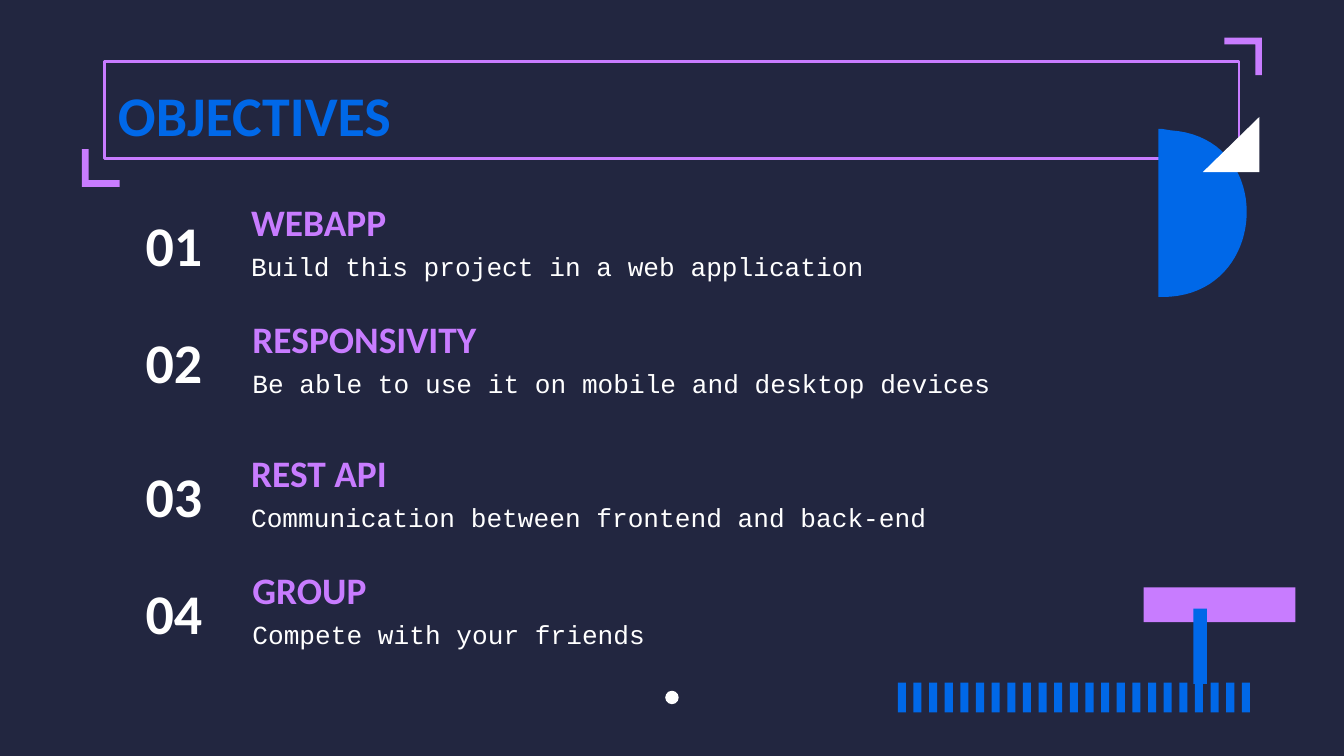
from dataclasses import dataclass

from pptx import Presentation
from pptx.dml.color import RGBColor
from pptx.enum.shapes import MSO_SHAPE
from pptx.enum.text import MSO_ANCHOR, PP_ALIGN
from pptx.util import Inches, Pt


@dataclass(frozen=True)
class Theme:
    background: RGBColor = RGBColor(0x22, 0x26, 0x40)
    blue: RGBColor = RGBColor(0x00, 0x68, 0xE8)
    purple: RGBColor = RGBColor(0xC8, 0x7C, 0xFF)
    white: RGBColor = RGBColor(0xFF, 0xFF, 0xFF)
    heading_font: str = "Calibri"
    body_font: str = "Courier New"
    title_size: int = 30
    heading_size: int = 20
    body_size: int = 14


THEME = Theme()

OBJECTIVES = [
    (1.77, 1.38, "WEBAPP", "Build this project in a web application"),
    (1.78, 2.25, "RESPONSIVITY", "Be able to use it on mobile and desktop devices"),
    (1.77, 3.25, "REST API", "Communication between frontend and back-end"),
    (1.78, 4.12, "GROUP", "Compete with your friends"),
]


def paint(shape, color):
    shape.fill.solid()
    shape.fill.fore_color.rgb = color
    shape.line.fill.background()
    shape.shadow.inherit = False


def add_block(slide, kind, left, top, width, height, color):
    shape = slide.shapes.add_shape(
        kind, Inches(left), Inches(top), Inches(width), Inches(height)
    )
    paint(shape, color)
    return shape


def add_outline(slide, contours, color):
    contours = [[(Inches(x), Inches(y)) for x, y in points] for points in contours]
    builder = slide.shapes.build_freeform(*contours[0][0])
    for index, points in enumerate(contours):
        if index:
            builder.move_to(*points[0])
        builder.add_line_segments(points[1:], close=True)
    paint(builder.convert_to_shape(), color)


def add_label(slide, text, left, top, width, height, size, color,
              font=THEME.heading_font, bold=True,
              anchor=MSO_ANCHOR.TOP, align=PP_ALIGN.LEFT):
    box = slide.shapes.add_textbox(
        Inches(left), Inches(top), Inches(width), Inches(height)
    )
    frame = box.text_frame
    frame.word_wrap = True
    frame.vertical_anchor = anchor
    frame.margin_left = frame.margin_right = Inches(0.1)
    frame.margin_top = frame.margin_bottom = Inches(0.1)
    frame.text = text
    paragraph = frame.paragraphs[0]
    paragraph.alignment = align
    run_font = paragraph.runs[0].font
    run_font.name = font
    run_font.size = Pt(size)
    run_font.bold = bold
    run_font.color.rgb = color


def add_stripes(slide, left, top, width, height, pitch, count):
    stripes = []
    for index in range(count):
        x = left + index * pitch
        stripes.append([(x, top), (x, top + height),
                        (x + width, top + height), (x + width, top)])
    add_outline(slide, stripes, THEME.blue)


def add_bracket(slide, corner_x, corner_y, direction):
    arm, thickness = 0.28 * direction, 0.05 * direction
    add_outline(slide, [[
        (corner_x, corner_y - arm),
        (corner_x, corner_y),
        (corner_x + arm, corner_y),
        (corner_x + arm, corner_y - thickness),
        (corner_x + thickness, corner_y - thickness),
        (corner_x + thickness, corner_y - arm),
    ]], THEME.purple)


def curve_points(start, control_one, control_two, end, steps=40):
    points = []
    for step in range(steps + 1):
        t = step / steps
        weights = ((1 - t) ** 3, 3 * t * (1 - t) ** 2, 3 * t ** 2 * (1 - t), t ** 3)
        corners = (start, control_one, control_two, end)
        points.append(tuple(
            sum(weight * corner[axis] for weight, corner in zip(weights, corners))
            for axis in (0, 1)
        ))
    return points


def add_title_frame(slide):
    frame = add_block(slide, MSO_SHAPE.RECTANGLE, 0.78, 0.46, 8.44, 0.72, THEME.purple)
    frame.fill.background()
    frame.line.color.rgb = THEME.purple
    frame.line.width = Pt(1.5)
    add_bracket(slide, 0.61, 1.39, 1)
    add_bracket(slide, 9.39, 0.28, -1)
    add_label(slide, "OBJECTIVES", 0.78, 0.5, 8.44, 0.63,
              THEME.title_size, THEME.blue)


def add_objective(slide, number, left, top, heading, description):
    add_label(slide, heading, left, top, 6.92, 0.5, THEME.heading_size, THEME.purple)
    add_label(slide, description, left, top + 0.38, 6.91, 0.45,
              THEME.body_size, THEME.white, font=THEME.body_font, bold=False)
    add_label(slide, f"{number:02d}", 0.78, top + 0.21, 1.03, 0.45,
              THEME.title_size, THEME.white,
              anchor=MSO_ANCHOR.MIDDLE, align=PP_ALIGN.CENTER)


def add_footer_decoration(slide):
    add_stripes(slide, 6.68, 5.08, 0.06, 0.22, 2.56 / 22, 23)
    add_block(slide, MSO_SHAPE.OVAL, 4.95, 5.14, 0.1, 0.1, THEME.white)
    add_block(slide, MSO_SHAPE.RECTANGLE, 8.51, 4.37, 1.13, 0.26, THEME.purple)
    add_block(slide, MSO_SHAPE.RECTANGLE, 8.88, 4.53, 0.1, 0.56, THEME.blue)


def add_corner_decoration(slide):
    arc = curve_points((8.65, 2.21), (9.45, 2.21), (9.5, 1.02), (8.71, 0.97))
    add_outline(slide, [[(8.62, 0.96), (8.62, 2.21), *arc, (8.65, 0.96)]], THEME.blue)
    add_outline(slide, [[(9.37, 0.87), (8.95, 1.28), (9.37, 1.28)]], THEME.white)


def main():
    presentation = Presentation()
    presentation.slide_width = Inches(10)
    presentation.slide_height = Inches(10 * 9 / 16)
    slide = presentation.slides.add_slide(presentation.slide_layouts[6])
    slide.background.fill.solid()
    slide.background.fill.fore_color.rgb = THEME.background

    add_footer_decoration(slide)
    add_title_frame(slide)
    for number, objective in enumerate(OBJECTIVES, start=1):
        add_objective(slide, number, *objective)
    add_corner_decoration(slide)

    presentation.save("out.pptx")


if __name__ == "__main__":
    main()
